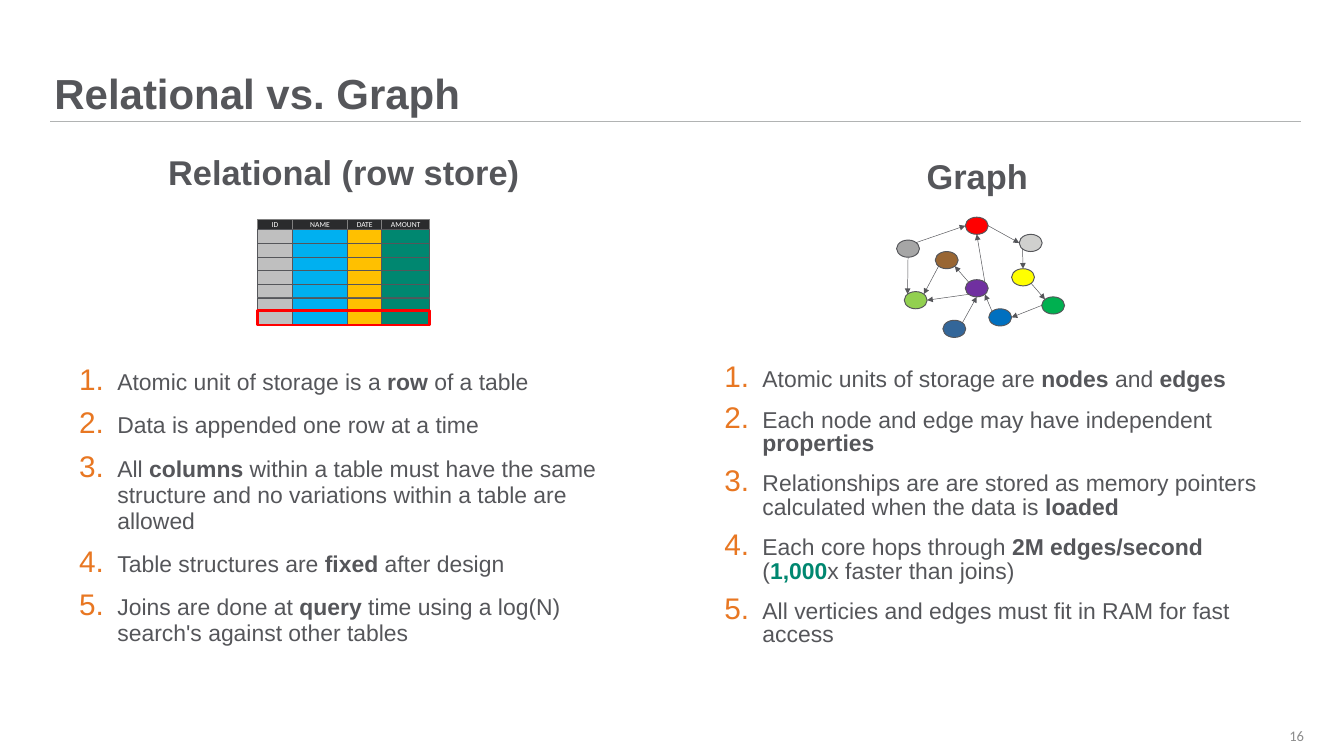
from itertools import accumulate
from math import cos, radians, sin

from lxml import etree
from pptx import Presentation
from pptx import util as u
from pptx.dml.color import RGBColor
from pptx.enum import shapes, text
from pptx.oxml import ns

GREY = RGBColor(0x55, 0x56, 0x5A)
RULE = RGBColor(0xB1, 0xB3, 0xB3)
PAGE = RGBColor(0x8C, 0x8C, 0x8C)
ORANGE = RGBColor(0xE8, 0x77, 0x22)
TEAL = RGBColor(0x00, 0x87, 0x70)
RED = RGBColor(0xFF, 0x00, 0x00)
WHITE = RGBColor(0xFF, 0xFF, 0xFF)
HEADER = RGBColor(0x2A, 0x2B, 0x2D)
HEADER_LINE = RGBColor(0x80, 0x80, 0x80)
SILVER = RGBColor(0xBF, 0xBF, 0xBF)
SKY = RGBColor(0x00, 0xB0, 0xF0)
AMBER = RGBColor(0xFF, 0xC0, 0x00)

BODY = dict(name="Arial", size=u.Pt(24), color=GREY)
TITLE = BODY | dict(size=u.Pt(44), bold=True)
HEADING = BODY | dict(size=u.Pt(36), bold=True)
NUMBER = dict(name="Calibri", size=u.Pt(15.3), color=PAGE)
LABEL = dict(name="Calibri", size=u.Pt(8), color=WHITE)
BOLD = dict(bold=True)
ACCENT = dict(bold=True, color=TEAL)

CENTER, RIGHT = text.PP_ALIGN.CENTER, text.PP_ALIGN.RIGHT
MIDDLE, BOTTOM = text.MSO_ANCHOR.MIDDLE, text.MSO_ANCHOR.BOTTOM
RECT, OVAL = shapes.MSO_SHAPE.RECTANGLE, shapes.MSO_SHAPE.OVAL

ROW_POINTS = [
    ["Atomic unit of storage is a ", ("row", BOLD), " of a table"],
    ["Data is appended one row at a time"],
    ["All ", ("columns", BOLD), " within a table must have the same structure "
     "and no variations within a table are allowed"],
    ["Table structures are ", ("fixed", BOLD), " after design"],
    ["Joins are done at ", ("query", BOLD),
     " time using a log(N) search's against other tables"],
]
GRAPH_POINTS = [
    ["Atomic units of storage are ", ("nodes", BOLD), " and ", ("edges", BOLD)],
    ["Each node and edge may have independent ", ("properties", BOLD)],
    ["Relationships are are stored as memory pointers calculated when the data is ",
     ("loaded", BOLD)],
    ["Each core hops through ", ("2M edges/second ", BOLD), "(",
     ("1,000", ACCENT), "x faster than joins)"],
    ["All verticies and edges must fit in RAM for fast access"],
]
COLUMNS = [("ID", 36.4, SILVER), ("NAME", 57.8, SKY),
           ("DATE", 36, AMBER), ("AMOUNT", 49.8, TEAL)]
NODE_W, NODE_H = 24, 18
NODES = {
    "red": (1011.5, 227.5, RED),
    "brown": (980, 263.5, RGBColor(0x99, 0x66, 0x33)),
    "purple": (1011.5, 293, RGBColor(0x70, 0x30, 0xA0)),
    "light": (1068, 245.5, RGBColor(0xD0, 0xD0, 0xCE)),
    "yellow": (1060, 281.5, RGBColor(0xFF, 0xFF, 0x00)),
    "lime": (947.5, 305.5, RGBColor(0x92, 0xD0, 0x50)),
    "blue": (1036, 323.5, RGBColor(0x00, 0x70, 0xC0)),
    "grey": (939.5, 251.5, RGBColor(0xA6, 0xA6, 0xA6)),
    "green": (1091.5, 311, RGBColor(0x00, 0xB0, 0x50)),
    "navy": (988, 335.5, RGBColor(0x33, 0x66, 0x99)),
}
ANGLES = dict(e=0, se=45, s=90, sw=135, w=180, nw=225, n=270, ne=315)
EDGES = [
    ("grey", "ne", "red", "w"), ("red", "e", "light", "w"),
    ("light", "sw", "yellow", "n"), ("yellow", "se", "green", "nw"),
    ("green", "w", "blue", "e"), ("blue", "nw", "purple", "se"),
    ("purple", "nw", "brown", "se"), ("brown", "sw", "lime", "ne"),
    ("grey", "s", "lime", "nw"), ("purple", "ne", "red", "s"),
    ("purple", "sw", "lime", "e"), ("navy", "ne", "purple", "s"),
]


class Deck:
    """Draws styled elements on the current slide, with lengths in points."""

    def __init__(self, s):
        self.s = s

    def fill_text(self, tf, paras, fmt, anchor=None, inset=0, bullets=False, **layout):
        tf.word_wrap = True
        frame = dict(margin_left=inset, margin_right=inset, margin_top=0, margin_bottom=0)
        for k, v in frame.items():
            setattr(tf, k, u.Pt(v))
        if anchor is not None:
            tf.vertical_anchor = anchor
        for i, runs in enumerate(paras):
            p = tf.paragraphs[0] if i == 0 else tf.add_paragraph()
            for k, v in layout.items():
                setattr(p, k, v)
            if bullets:
                self.number(p)
                p.space_before = u.Pt(10.2 if i else 0)
                p.space_after = u.Pt(7.7)
            for run in runs:
                words, extra = (run, {}) if isinstance(run, str) else run
                r = p.add_run()
                r.text = words
                for k, v in (fmt | extra).items():
                    if k == "color":
                        r.font.color.rgb = v
                    else:
                        setattr(r.font, k, v)

    def number(self, p):
        pPr = p._p.get_or_add_pPr()
        pPr.set("marL", str(u.Pt(40)))
        pPr.set("indent", str(u.Pt(-40)))
        clr = etree.SubElement(pPr, ns.qn("a:buClr"))
        etree.SubElement(clr, ns.qn("a:srgbClr"), val=str(ORANGE))
        etree.SubElement(pPr, ns.qn("a:buSzPct"), val="130000")
        etree.SubElement(pPr, ns.qn("a:buFont"), typeface="Arial")
        etree.SubElement(pPr, ns.qn("a:buAutoNum"), type="arabicPeriod")

    def text(self, x, y, w, h, paras, fmt, **layout):
        sp = self.s.shapes.add_textbox(u.Pt(x), u.Pt(y), u.Pt(w), u.Pt(h))
        self.fill_text(sp.text_frame, paras, fmt, **layout)

    def shape(self, kind, x, y, w, h, fill=None, line=GREY, width=1, label=None):
        sp = self.s.shapes.add_shape(kind, u.Pt(x), u.Pt(y), u.Pt(w), u.Pt(h))
        sp.shadow.inherit = False
        if fill is None:
            sp.fill.background()
        else:
            sp.fill.solid()
            sp.fill.fore_color.rgb = fill
        sp.line.color.rgb = line
        sp.line.width = u.Pt(width)
        if label:
            self.fill_text(sp.text_frame, [[label]], LABEL, anchor=MIDDLE, inset=7.2,
                           alignment=CENTER)

    def line(self, x1, y1, x2, y2, color=GREY, width=0.5, arrow=True):
        c = self.s.shapes.add_connector(shapes.MSO_CONNECTOR.STRAIGHT,
                                        u.Pt(x1), u.Pt(y1), u.Pt(x2), u.Pt(y2))
        c.line.color.rgb = color
        c.line.width = u.Pt(width)
        spPr = c.element.spPr
        if arrow:
            etree.SubElement(spPr.find(ns.qn("a:ln")), ns.qn("a:tailEnd"), type="triangle")
        etree.SubElement(spPr, ns.qn("a:effectLst"))


def site(node, side):
    x, y, _ = NODES[node]
    a = radians(ANGLES[side])
    return x + NODE_W / 2 * (1 + cos(a)), y + NODE_H / 2 * (1 + sin(a))


def main():
    prs = Presentation()
    prs.slide_width, prs.slide_height = u.Pt(1408.32), u.Pt(792)
    d = Deck(prs.slides.add_slide(prs.slide_layouts[6]))

    d.line(52.5, 127.5, 1363.5, 127.5, RULE, 1, arrow=False)
    d.text(57, 0, 1307, 124, [["Relational vs. Graph"]], TITLE,
           anchor=BOTTOM, line_spacing=0.9)
    d.text(1296, 749, 70.5, 42.5, [["16"]], NUMBER, anchor=MIDDLE, alignment=RIGHT)
    d.text(83, 387.5, 554.5, 314, ROW_POINTS, BODY, bullets=True, line_spacing=0.95)
    d.text(759, 386.5, 568, 314, GRAPH_POINTS, BODY, bullets=True, line_spacing=0.85)
    d.text(173.5, 162, 373.5, 36, [["Relational (row store)"]], HEADING,
           alignment=CENTER, line_spacing=0.95)
    d.text(842.5, 165.5, 363, 57, [["Graph"]], HEADING,
           alignment=CENTER, line_spacing=0.95)

    for x, y, color in NODES.values():
        d.shape(OVAL, x, y, NODE_W, NODE_H, color)
    for start, out, end, into in EDGES:
        d.line(*site(start, out), *site(end, into))

    left, top, head_h, row_h, rows = 270, 229.5, 11.2, 14.3, 7
    lefts = accumulate((w for _, w, _ in COLUMNS), initial=left)
    for x, (name, w, color) in zip(lefts, COLUMNS):
        d.shape(RECT, x, top, w, head_h, HEADER, HEADER_LINE, label=name)
        for i in range(rows):
            d.shape(RECT, x, top + head_h + i * row_h, w, row_h, color)
    d.shape(RECT, left, 325.5, 180, 15, line=RED, width=3)

    prs.save("out.pptx")


if __name__ == "__main__":
    main()
